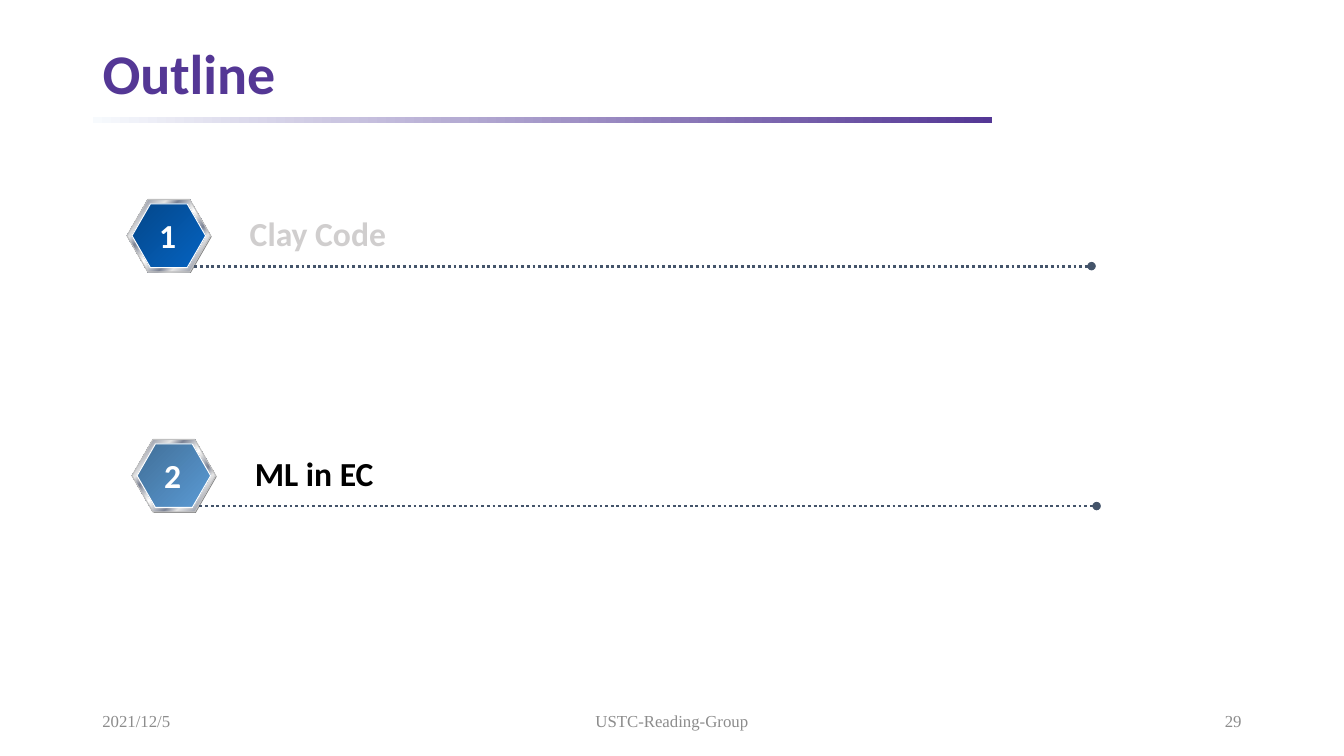
from dataclasses import dataclass

from lxml.etree import SubElement
from pptx import Presentation
from pptx.dml.color import RGBColor
from pptx.enum.dml import MSO_LINE_DASH_STYLE as Dash
from pptx.enum.shapes import MSO_CONNECTOR as Connector, MSO_SHAPE as Shape
from pptx.enum.text import MSO_ANCHOR as Anchor, PP_ALIGN as Align
from pptx.oxml.ns import qn
from pptx.util import Pt


@dataclass(frozen=True)
class Theme:
    heading_font: str = "Calibri"
    footer_font: str = "Times New Roman"
    title_size: float = 40
    item_size: float = 24
    footer_size: float = 12
    accent: str = "543795"
    accent_fade: str = "F7FAFD"
    dimmed: str = "D0CECE"
    active: str = "000000"
    white: str = "FFFFFF"
    footer: str = "8C8C8C"
    rule: str = "44546A"
    badge_shadow: str = "808080"
    badge_edge: str = "C0C0C0"
    past_face: tuple = ((0, "04478A"), (100, "0563C1"))
    current_face: tuple = ((0, "416F98"), (100, "5B9BD5"))
    metal: tuple = (
        (0, "E6E6E6"), (7, "7D8496"), (26, "E6E6E6"), (34, "7D8496"),
        (46, "E6E6E6"), (50, "FFFFFF"), (54, "E6E6E6"), (66, "7D8496"),
        (74, "E6E6E6"), (93, "7D8496"), (100, "E6E6E6"))


THEME = Theme()


def rgb(color):
    return RGBColor.from_string(color)


def fill_gradient(shape, stops, angle):
    """Fill with (percent, colour) stops; angle runs counter-clockwise."""
    shape.fill.gradient()
    shape.fill.gradient_angle = angle
    stop_list = shape.fill._xPr.find(".//" + qn("a:gsLst"))
    for old_stop in list(stop_list):
        stop_list.remove(old_stop)
    for percent, color in stops:
        stop = SubElement(stop_list, qn("a:gs"), pos=str(percent * 1000))
        SubElement(stop, qn("a:srgbClr"), val=color)


def add_panel(slide, kind, box, fill, edge=None, angle=0):
    """Add a shape; fill is one colour or a tuple of gradient stops."""
    panel = slide.shapes.add_shape(kind, *map(Pt, box))
    panel.shadow.inherit = False
    if isinstance(fill, str):
        panel.fill.solid()
        panel.fill.fore_color.rgb = rgb(fill)
    else:
        fill_gradient(panel, fill, angle)
    if edge:
        panel.line.color.rgb = rgb(edge)
        panel.line.width = Pt(0.75)
    else:
        panel.line.fill.background()
    return panel


def add_hexagon(slide, box, fill, edge=None):
    hexagon = add_panel(slide, Shape.HEXAGON, box, fill, edge, angle=315)
    hexagon.adjustments[0] = 0.289
    hexagon.adjustments[1] = 1.155


def add_text(slide, box, text, font, size, color, bold=False,
             align=Align.LEFT, anchor=Anchor.TOP, wrap=True):
    frame = slide.shapes.add_textbox(*map(Pt, box)).text_frame
    frame.word_wrap = wrap
    frame.vertical_anchor = anchor
    paragraph = frame.paragraphs[0]
    paragraph.text = text
    paragraph.alignment = align
    paragraph.font.name = font
    paragraph.font.size = Pt(size)
    paragraph.font.bold = bold
    paragraph.font.color.rgb = rgb(color)
    return paragraph


def add_dotted_rule(slide, left, right, y):
    rule = slide.shapes.add_connector(
        Connector.STRAIGHT, Pt(left), Pt(y), Pt(right), Pt(y))
    rule.line.color.rgb = rgb(THEME.rule)
    rule.line.width = Pt(2)
    rule.line.dash_style = Dash.ROUND_DOT
    SubElement(rule.line._get_or_add_ln(), qn("a:tailEnd"), type="oval")
    SubElement(rule._element.spPr, qn("a:effectLst"))


def add_heading(slide, text):
    add_panel(slide, Shape.RECTANGLE, (66.2, 83.6, 642.2, 4),
              ((0, THEME.accent_fade), (100, THEME.accent)))
    heading = add_text(slide, (66.2, 27.4, 828, 54), text, THEME.heading_font,
                       THEME.title_size, THEME.accent, bold=True,
                       anchor=Anchor.MIDDLE)
    heading.line_spacing = 0.9


def add_outline_item(slide, left, top, number, label, label_color, face):
    add_hexagon(slide, (left + 0.7, top + 0.7, 59.8, 51.8), THEME.badge_shadow)
    add_hexagon(slide, (left, top, 59.8, 51.8), THEME.metal, THEME.badge_edge)
    add_hexagon(slide, (left + 3.6, top + 3.2, 52.6, 45.4), face, THEME.white)
    add_dotted_rule(slide, left + 48.2, left + 689, top + 47.6)
    add_text(slide, (left + 80.6, top + 5.8, 131, 36), label,
             THEME.heading_font, THEME.item_size, label_color, bold=True)
    add_text(slide, (left + 15.1, top + 7.6, 28, 36.7), str(number),
             THEME.heading_font, THEME.item_size, THEME.white, bold=True,
             align=Align.CENTER, wrap=False)


def add_footer(slide, date, group, page):
    for left, width, text, align in (
            (66, 216, date, Align.LEFT),
            (318, 324, group, Align.CENTER),
            (678, 216, page, Align.RIGHT)):
        add_text(slide, (left, 500.5, width, 28.8), text, THEME.footer_font,
                 THEME.footer_size, THEME.footer, align=align,
                 anchor=Anchor.MIDDLE)


def main():
    deck = Presentation()
    deck.slide_width, deck.slide_height = Pt(960), Pt(540)
    slide = deck.slides.add_slide(deck.slide_layouts[6])
    add_heading(slide, "Outline")
    add_outline_item(slide, 90.7, 142.5, 1, "Clay Code",
                     THEME.dimmed, THEME.past_face)
    add_outline_item(slide, 94.3, 313.9, 2, "ML in EC",
                     THEME.active, THEME.current_face)
    add_footer(slide, "2021/12/5", "USTC-Reading-Group", "29")
    deck.save("out.pptx")


if __name__ == "__main__":
    main()
